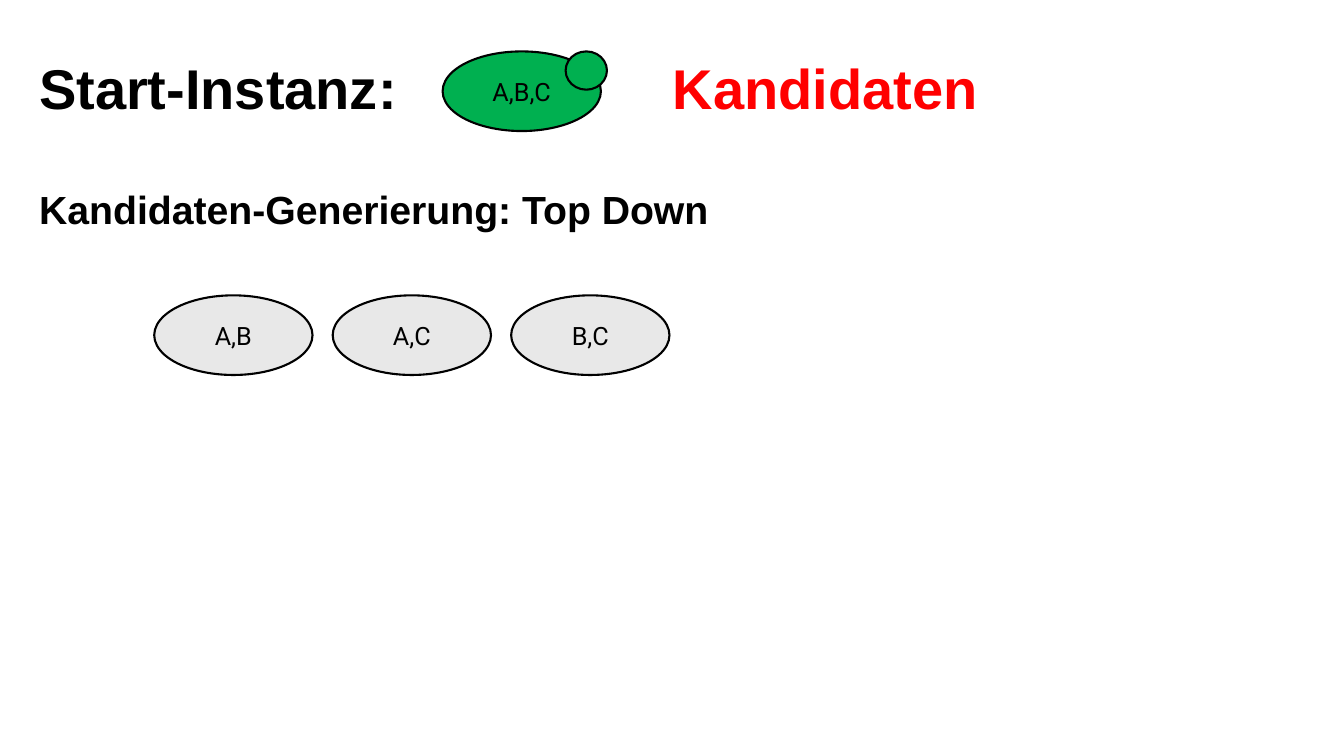
from dataclasses import dataclass

from pptx import Presentation
from pptx.dml.color import RGBColor
from pptx.enum.shapes import MSO_SHAPE
from pptx.enum.text import MSO_ANCHOR, PP_ALIGN
from pptx.slide import Slide
from pptx.text.text import TextFrame
from pptx.util import Inches, Pt

COLORS = {
    "black": "000000",
    "red": "FF0000",
    "green": "00B050",
    "gray": "E8E8E8",
    "white": "FFFFFF",
}
NODE_WIDTH, NODE_HEIGHT = 1.57, 0.79
TOP_ROW, CANDIDATE_ROW = 0.51, 2.93
CANDIDATE_LEFT, CANDIDATE_STEP = 1.53, 1.77


@dataclass
class Heading:
    text: str
    left: float
    top: float
    width: float
    height: float
    size: int = 40
    color: str = "black"
    align: PP_ALIGN = PP_ALIGN.LEFT
    line_spacing: float = 0.9


@dataclass
class Node:
    text: str
    left: float
    top: float
    fill: str = "gray"
    width: float = NODE_WIDTH
    height: float = NODE_HEIGHT


def rgb(name: str) -> RGBColor:
    return RGBColor.from_string(COLORS[name])


def write_text(text_frame: TextFrame, text: str, font_name: str, size: int,
               color: str, align: PP_ALIGN, bold: bool = False) -> None:
    text_frame.text = text
    text_frame.word_wrap = True
    text_frame.vertical_anchor = MSO_ANCHOR.MIDDLE
    paragraph = text_frame.paragraphs[0]
    paragraph.alignment = align
    font = paragraph.runs[0].font
    font.name = font_name
    font.size = Pt(size)
    font.bold = bold
    font.color.rgb = rgb(color)


def add_heading(slide: Slide, heading: Heading) -> None:
    shape = slide.shapes.add_textbox(
        Inches(heading.left), Inches(heading.top),
        Inches(heading.width), Inches(heading.height))
    write_text(shape.text_frame, heading.text, "Arial", heading.size,
               heading.color, heading.align, bold=True)
    shape.text_frame.paragraphs[0].line_spacing = heading.line_spacing


def add_node(slide: Slide, node: Node) -> None:
    shape = slide.shapes.add_shape(
        MSO_SHAPE.OVAL, Inches(node.left), Inches(node.top),
        Inches(node.width), Inches(node.height))
    shape.shadow.inherit = False
    shape.fill.solid()
    shape.fill.fore_color.rgb = rgb(node.fill)
    shape.line.color.rgb = rgb("black")
    shape.line.width = Pt(1.5)
    if node.text:
        write_text(shape.text_frame, node.text, "Roboto", 18, "black",
                   PP_ALIGN.CENTER)


HEADINGS = [
    Heading("Start-Instanz:", 0.29, TOP_ROW, 4.1, 0.79),
    Heading("Kandidaten", 6.2, 0.26, 3.97, 1.29, color="red",
            align=PP_ALIGN.CENTER),
    Heading("Kandidaten-Generierung: Top Down", 0.29, 1.73, 6.91, 0.79,
            size=28, line_spacing=0.7),
]
START_NODES = [
    Node("A,B,C", 4.39, TOP_ROW, "green"),
    Node("", 5.61, TOP_ROW, "green", 0.41, 0.38),
]
CANDIDATES = [
    Node(text, CANDIDATE_LEFT + index * CANDIDATE_STEP, CANDIDATE_ROW)
    for index, text in enumerate(["A,B", "A,C", "B,C"])
]


def main() -> None:
    presentation = Presentation()
    presentation.slide_width = Inches(13.33)
    presentation.slide_height = Inches(7.5)
    slide = presentation.slides.add_slide(presentation.slide_layouts[6])
    slide.background.fill.solid()
    slide.background.fill.fore_color.rgb = rgb("white")

    # Headings
    for heading in HEADINGS:
        add_heading(slide, heading)

    # Start instance with its marker, then the generated candidates
    for node in START_NODES + CANDIDATES:
        add_node(slide, node)

    presentation.save("out.pptx")


if __name__ == "__main__":
    main()
